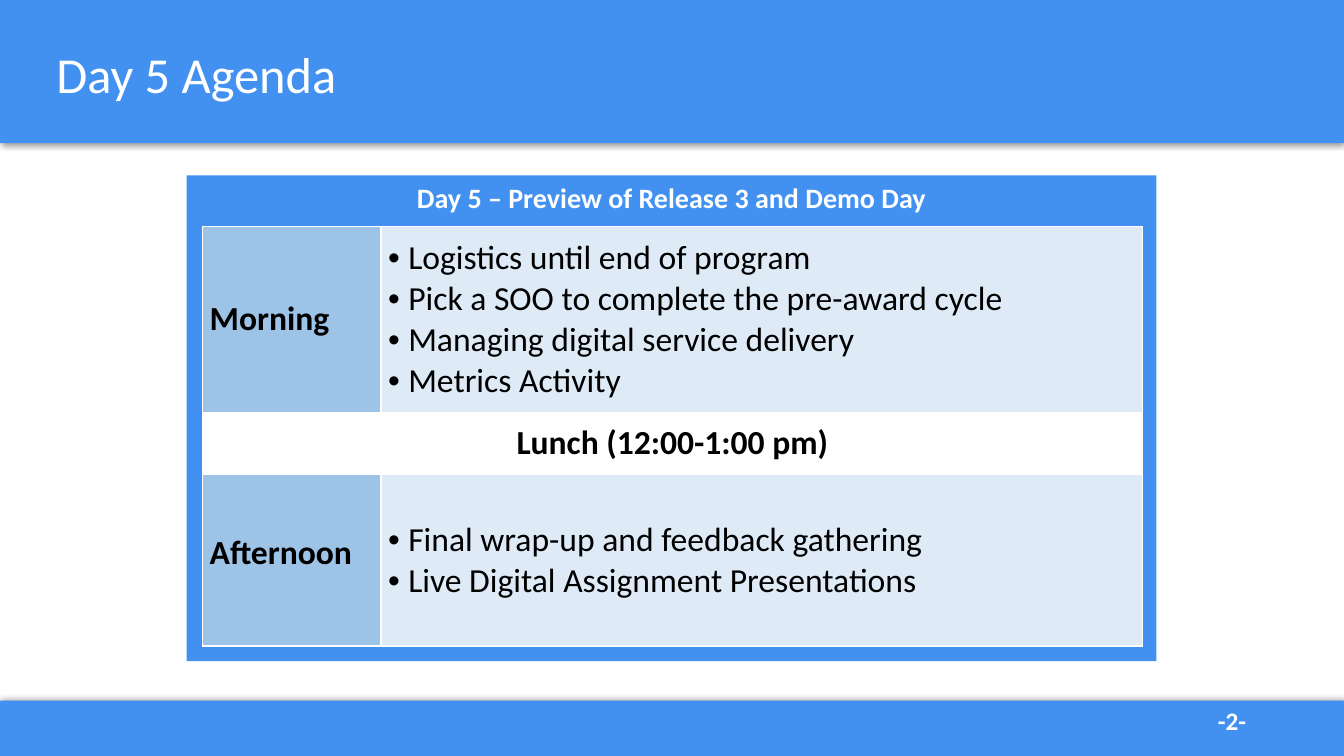
import pptx
import pptx.dml.color
import pptx.enum.shapes
import pptx.enum.text
import pptx.oxml
import pptx.oxml.ns
import pptx.util
from lxml import etree

Inches = pptx.util.Inches
Pt = pptx.util.Pt
RGBColor = pptx.dml.color.RGBColor
ALIGN = pptx.enum.text.PP_ALIGN
ANCHOR = pptx.enum.text.MSO_ANCHOR

BLUE = RGBColor(0x42, 0x91, 0xF0)
MID_BLUE = RGBColor(0x9D, 0xC3, 0xE6)
PALE_BLUE = RGBColor(0xDE, 0xEB, 0xF7)
WHITE = RGBColor(0xFF, 0xFF, 0xFF)
BLACK = RGBColor(0, 0, 0)
UP, DOWN = 270, 90

MORNING = [
    "Logistics until end of program",
    "Pick a SOO to complete the pre-award cycle",
    "Managing digital service delivery",
    "Metrics Activity",
]
AFTERNOON = [
    "Final wrap-up and feedback gathering",
    "Live Digital Assignment Presentations",
]


def add_element(parent, tag, **attributes):
    element = etree.SubElement(parent, pptx.oxml.ns.qn(tag))
    for name, value in attributes.items():
        element.set(name, str(value))
    return element


class AgendaSlide:
    font_name = "Calibri"

    def __init__(self, presentation):
        self.slide = presentation.slides.add_slide(presentation.slide_layouts[6])

    def fill_text(self, frame, lines, size, color, bold=False, align=ALIGN.LEFT,
                  bullets=False):
        frame.word_wrap = True
        for index, line in enumerate(lines):
            paragraph = frame.paragraphs[0] if index == 0 else frame.add_paragraph()
            paragraph.text = line
            paragraph.alignment = align
            if bullets:
                properties = paragraph._p.get_or_add_pPr()
                properties.set("marL", str(Inches(0.2)))
                properties.set("indent", str(-Inches(0.2)))
                add_element(properties, "a:buFont", typeface="Arial")
                add_element(properties, "a:buChar", char="•")
            paragraph.font.name = self.font_name
            paragraph.font.size = Pt(size)
            paragraph.font.bold = bold
            paragraph.font.color.rgb = color

    def text(self, left, top, width, height, line, size, bold=False, anchor=ANCHOR.TOP):
        box = self.slide.shapes.add_textbox(
            Inches(left), Inches(top), Inches(width), Inches(height))
        box.text_frame.vertical_anchor = anchor
        self.fill_text(box.text_frame, [line], size, WHITE, bold)

    def panel(self, left, top, width, height):
        shape = self.slide.shapes.add_shape(
            pptx.enum.shapes.MSO_SHAPE.RECTANGLE,
            Inches(left), Inches(top), Inches(width), Inches(height))
        shape.shadow.inherit = False
        shape.fill.solid()
        shape.fill.fore_color.rgb = BLUE
        shape.line.fill.background()
        return shape

    def band(self, top, height, shadow_direction):
        """Full-width bar with a soft shadow towards the slide's middle."""
        shape = self.panel(0, top, 13.33, height)
        effects = shape._element.spPr.find(pptx.oxml.ns.qn("a:effectLst"))
        shadow = add_element(effects, "a:outerShdw", blurRad=Pt(4), dist=Pt(1),
                             dir=shadow_direction * 60000, rotWithShape=0)
        color = add_element(shadow, "a:srgbClr", val=BLACK)
        add_element(color, "a:alpha", val=40000)

    def table(self, left, top, widths, heights):
        table = self.slide.shapes.add_table(
            len(heights), len(widths), Inches(left), Inches(top),
            Inches(sum(widths)), Inches(sum(heights))).table
        table.first_row = table.horz_banding = False
        for column, width in zip(table.columns, widths):
            column.width = Inches(width)
        for row, height in zip(table.rows, heights):
            row.height = Inches(height)
        for cell in table.iter_cells():
            for side in ("L", "R", "T", "B"):
                border = add_element(cell._tc.get_or_add_tcPr(), f"a:ln{side}", w=Pt(1))
                fill = add_element(border, "a:solidFill")
                add_element(fill, "a:srgbClr", val=WHITE)
        return table

    def cell(self, cell, lines, fill, **style):
        cell.fill.solid()
        cell.fill.fore_color.rgb = fill
        cell.vertical_anchor = ANCHOR.MIDDLE
        cell.margin_left = cell.margin_right = Inches(0.07)
        cell.margin_top = cell.margin_bottom = Inches(0.04)
        self.fill_text(cell.text_frame, lines, 24, BLACK, **style)


def main():
    presentation = pptx.Presentation()
    presentation.slide_width = Inches(13.33)
    presentation.slide_height = Inches(7.5)
    agenda = AgendaSlide(presentation)

    agenda.band(6.95, 0.55, UP)
    agenda.band(0, 1.42, DOWN)
    agenda.text(11.98, 6.95, 0.98, 0.4, "-2-", 18, bold=True)
    agenda.text(0.46, 0, 12.42, 1.45, "Day 5 Agenda", 36, anchor=ANCHOR.MIDDLE)

    frame = agenda.panel(1.85, 1.74, 9.62, 4.82).text_frame
    frame.vertical_anchor = ANCHOR.TOP
    agenda.fill_text(frame, ["Day 5 – Preview of Release 3 and Demo Day"], 20, WHITE,
                     bold=True, align=ALIGN.CENTER)

    table = agenda.table(2.01, 2.25, [1.77, 7.55], [1.84, 0.62, 1.7])
    for row, session, topics in ((0, "Morning", MORNING), (2, "Afternoon", AFTERNOON)):
        agenda.cell(table.cell(row, 0), [session], MID_BLUE, bold=True)
        agenda.cell(table.cell(row, 1), topics, PALE_BLUE, bullets=True)
    table.cell(2, 0).margin_bottom = Inches(0.18)
    table.cell(1, 0).merge(table.cell(1, 1))
    agenda.cell(table.cell(1, 0), ["Lunch (12:00-1:00 pm)"], WHITE,
                bold=True, align=ALIGN.CENTER)

    presentation.save("out.pptx")


if __name__ == "__main__":
    main()
